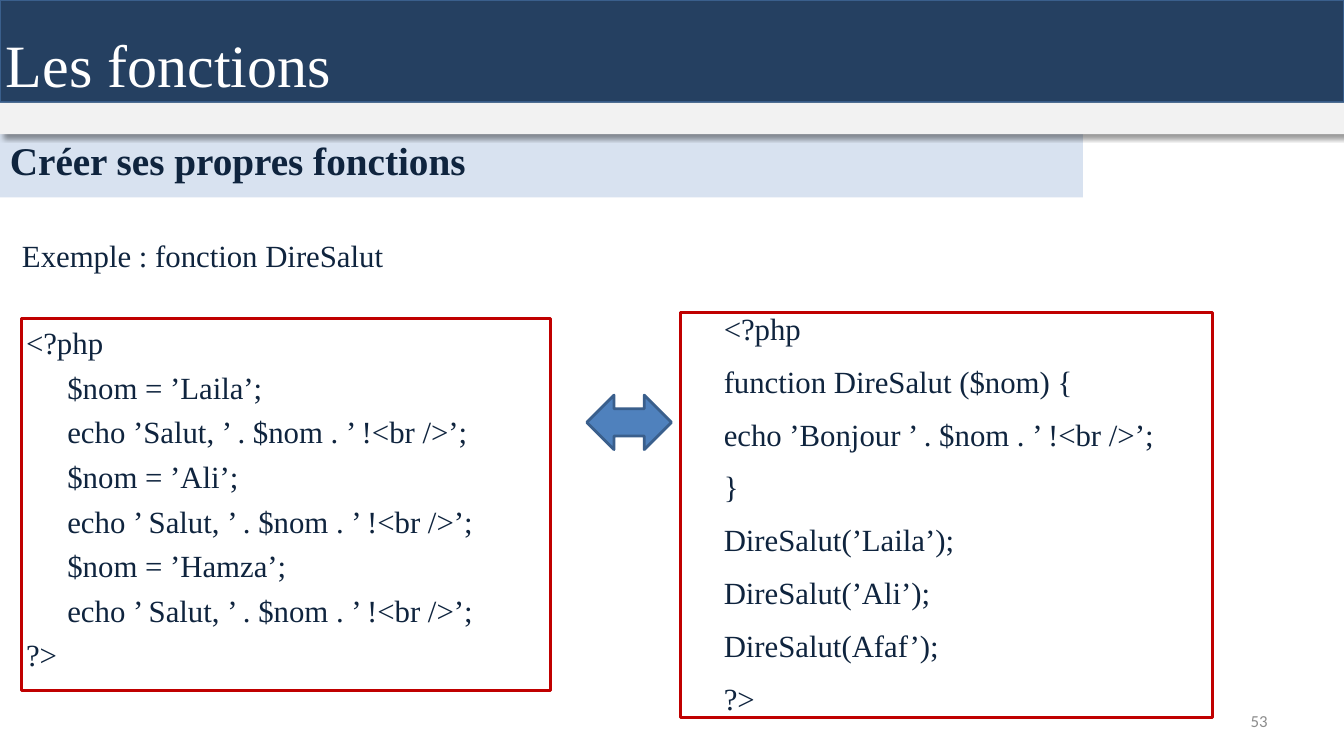
from lxml import etree
from pptx import Presentation
from pptx import util as u
from pptx.dml.color import RGBColor
from pptx.enum import shapes, text
from pptx.oxml import ns

NAVY, EDGE, RED, WHITE = "0F243E", "3A5F8C", "C00000", "FFFFFF"
SERIF = "Times New Roman"
LINE_GAP = 5.4


def color(value):
    return RGBColor.from_string(value)


class Deck:
    """Holds the style and the current slide, and draws its elements."""

    def __init__(self):
        self.prs = Presentation()
        self.prs.slide_width = u.Inches(13.33)
        self.prs.slide_height = u.Inches(7.5)
        self.slide = self.prs.slides.add_slide(self.prs.slide_layouts[6])

    def cast_shadow(self, parent, blur, distance, angle, alpha):
        effects = parent.find(ns.qn("a:effectLst"))
        if effects is None:
            effects = etree.SubElement(parent, ns.qn("a:effectLst"))
        shadow = etree.SubElement(
            effects, ns.qn("a:outerShdw"), blurRad=str(u.Pt(blur)),
            dist=str(u.Pt(distance)), dir=str(angle * 60000),
            algn="tl", rotWithShape="0")
        black = etree.SubElement(shadow, ns.qn("a:srgbClr"), val="000000")
        etree.SubElement(black, ns.qn("a:alpha"), val=str(alpha * 1000))

    def block(self, box, fill=None, line=None, shadow=False,
              kind=shapes.MSO_SHAPE.RECTANGLE):
        block = self.slide.shapes.add_shape(kind, *map(u.Inches, box))
        block.shadow.inherit = False
        if fill:
            block.fill.solid()
            block.fill.fore_color.rgb = color(fill)
        else:
            block.fill.background()
        if line:
            block.line.color.rgb = color(line)
            block.line.width = u.Pt(2)
        else:
            block.line.fill.background()
        if shadow:
            self.cast_shadow(block._element.spPr, 4, 3, 45, 40)

    def label(self, box, lines, size=22, ink=NAVY, font=SERIF, bold=False,
              align=text.PP_ALIGN.LEFT, anchor=text.MSO_ANCHOR.TOP,
              spacing=None, after=0, glow=False):
        frame = self.slide.shapes.add_textbox(*map(u.Inches, box)).text_frame
        frame.word_wrap = True
        frame.vertical_anchor = anchor
        for number, (words, indent, before) in enumerate(lines):
            paragraph = frame.add_paragraph() if number else frame.paragraphs[0]
            run = paragraph.add_run()
            run.text = words
            paragraph.alignment = align
            paragraph.line_spacing = spacing
            paragraph.space_before = u.Pt(before)
            paragraph.space_after = u.Pt(after)
            paragraph._p.get_or_add_pPr().set("marL", str(u.Inches(indent)))
            paragraph.font.name = font
            paragraph.font.size = u.Pt(size)
            paragraph.font.bold = bold
            paragraph.font.color.rgb = color(ink)
            if glow:
                self.cast_shadow(run._r.get_or_add_rPr(), 4, 3, 90, 38)


deck = Deck()

inline_body = [
    "$nom = ’Laila’;",
    "echo ’Salut, ’ . $nom . ’ !<br />’;",
    "$nom = ’Ali’;",
    "echo ’ Salut, ’ . $nom . ’ !<br />’;",
    "$nom = ’Hamza’;",
    "echo ’ Salut, ’ . $nom . ’ !<br />’;",
]
inline_code = [("Exemple : fonction DireSalut", 0, 0), ("<?php", 0.04, 36)]
inline_code += [(line, 0.45, LINE_GAP) for line in inline_body]
inline_code.append(("?>", 0.04, LINE_GAP))
deck.label((0.12, 2.3, 5.84, 4.69), inline_code, align=text.PP_ALIGN.JUSTIFY)

deck.label((9.56, 6.95, 3.11, 0.4), [("53", 0, 0)], size=12, ink="8C8C8C",
           font="Calibri", align=text.PP_ALIGN.RIGHT,
           anchor=text.MSO_ANCHOR.MIDDLE)

function_code = [
    "<?php",
    "function DireSalut ($nom) {",
    "echo ’Bonjour ’ . $nom . ’ !<br />’;",
    "}",
    "DireSalut(’Laila’);",
    "DireSalut(’Ali’);",
    "DireSalut(Afaf’);",
    "?>",
]
deck.label((7.04, 3.02, 6, 4.04),
           [(line, 0.04, LINE_GAP) for line in function_code],
           after=6, glow=True)

deck.block((5.82, 3.92, 0.84, 0.54), "4F81BD", EDGE,
           kind=shapes.MSO_SHAPE.LEFT_RIGHT_ARROW)
deck.block((0, 0, 13.33, 1.02), "254061", EDGE, shadow=True)
deck.block((0, 1.33, 10.74, 0.63), "D8E2F0")
deck.block((0, 1.02, 13.33, 0.31), "F2F2F2", shadow=True)

deck.label((0, 1.07, 7.33, 1.04), [("Créer ses propres fonctions", 0, 0)],
           size=28, bold=True, anchor=text.MSO_ANCHOR.MIDDLE)
deck.label((-0.04, 0.3, 7.29, 0.77), [("Les fonctions", 0, 0)],
           size=42.9, ink=WHITE, spacing=0.9)

for code_frame in ((0.21, 3.16, 5.25, 3.69), (6.75, 3.1, 5.28, 4.02)):
    deck.block(code_frame, line=RED)

deck.prs.save("out.pptx")
